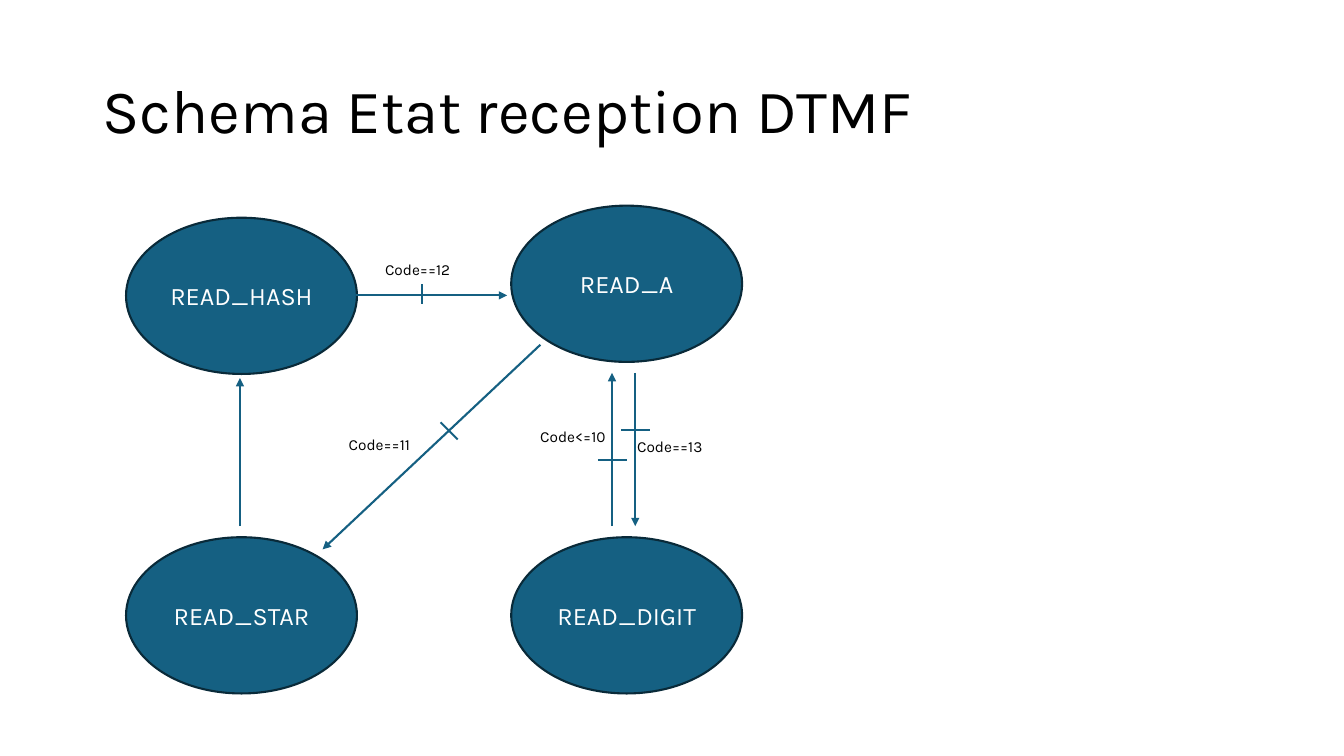
from lxml import etree
from pptx import Presentation
from pptx.dml.color import RGBColor
from pptx.enum.shapes import MSO_CONNECTOR, MSO_SHAPE
from pptx.enum.text import MSO_ANCHOR, MSO_AUTO_SIZE, PP_ALIGN
from pptx.oxml.ns import qn
from pptx.util import Inches, Pt

STRAIGHT = MSO_CONNECTOR.STRAIGHT
OVAL = MSO_SHAPE.OVAL
MIDDLE, TOP = MSO_ANCHOR.MIDDLE, MSO_ANCHOR.TOP
CENTER, LEFT = PP_ALIGN.CENTER, PP_ALIGN.LEFT
FIT_SHAPE = MSO_AUTO_SIZE.SHAPE_TO_FIT_TEXT

FONT = "Karla"
BLUE, OUTLINE, BLACK, WHITE = "156082", "092A39", "000000", "FFFFFF"
STATE_W, STATE_H = 2.29, 1.55


def rgb(value):
    return RGBColor.from_string(value)


def write(shape, text, size, color=BLACK, align=LEFT, anchor=TOP, spacing=None):
    frame = shape.text_frame
    frame.word_wrap = True
    frame.vertical_anchor = anchor
    paragraph = frame.paragraphs[0]
    paragraph.alignment = align
    paragraph.line_spacing = spacing
    run = paragraph.add_run()
    run.text = text
    run.font.name = FONT
    run.font.size = Pt(size)
    run.font.color.rgb = rgb(color)


prs = Presentation()
prs.slide_width, prs.slide_height = Inches(13.33), Inches(7.5)
slide = prs.slides.add_slide(prs.slide_layouts[6])
shapes = slide.shapes

title = shapes.add_textbox(Inches(0.92), Inches(0.4), Inches(11.5), Inches(1.45))
write(title, "Schema Etat reception DTMF", 44, anchor=MIDDLE, spacing=0.9)

states = [
    ("READ_HASH", 1.25, 2.16),
    ("READ_A", 5.07, 2.04),
    ("READ_DIGIT", 5.07, 5.33),
    ("READ_STAR", 1.25, 5.33),
]
for name, left, top in states:
    state = shapes.add_shape(OVAL, Inches(left), Inches(top), Inches(STATE_W), Inches(STATE_H))
    state.shadow.inherit = False
    state.fill.solid()
    state.fill.fore_color.rgb = rgb(BLUE)
    state.line.color.rgb = rgb(OUTLINE)
    state.line.width = Pt(1.5)
    write(state, name, 18, WHITE, CENTER, MIDDLE)

transitions = [
    (3.53, 2.93, 5.03, 2.93),  # HASH to A
    (5.36, 3.42, 3.2, 5.45),   # A to STAR
    (6.3, 3.7, 6.3, 5.22),     # A to DIGIT
    (6.07, 5.22, 6.07, 3.7),   # DIGIT to A
    (2.38, 5.22, 2.38, 3.75),  # STAR to HASH
]
condition_ticks = [
    (4.19, 2.82, 4.19, 3.02),
    (4.37, 4.19, 4.54, 4.36),
    (5.93, 4.56, 6.22, 4.56),
    (6.16, 4.27, 6.45, 4.27),
]
for lines, has_arrow in ((transitions, True), (condition_ticks, False)):
    for ends in lines:
        link = shapes.add_connector(STRAIGHT, *map(Inches, ends))
        link.line.color.rgb = rgb(BLUE)
        link.line.width = Pt(1.5)
        if has_arrow:
            etree.SubElement(link.line._get_or_add_ln(), qn("a:tailEnd"), type="triangle")
        etree.SubElement(link._element.spPr, qn("a:effectLst"))

conditions = [
    ("Code==12", 3.72, 2.53, 1.31),
    ("Code==13", 6.22, 4.29, 1.01),
    ("Code<=10", 5.26, 4.19, 0.96),
    ("Code==11", 3.36, 4.27, 0.96),
]
for text, left, top, width in conditions:
    condition = shapes.add_textbox(Inches(left), Inches(top), Inches(width), Inches(0.29))
    write(condition, text, 11)
    condition.text_frame.auto_size = FIT_SHAPE

prs.save("out.pptx")
